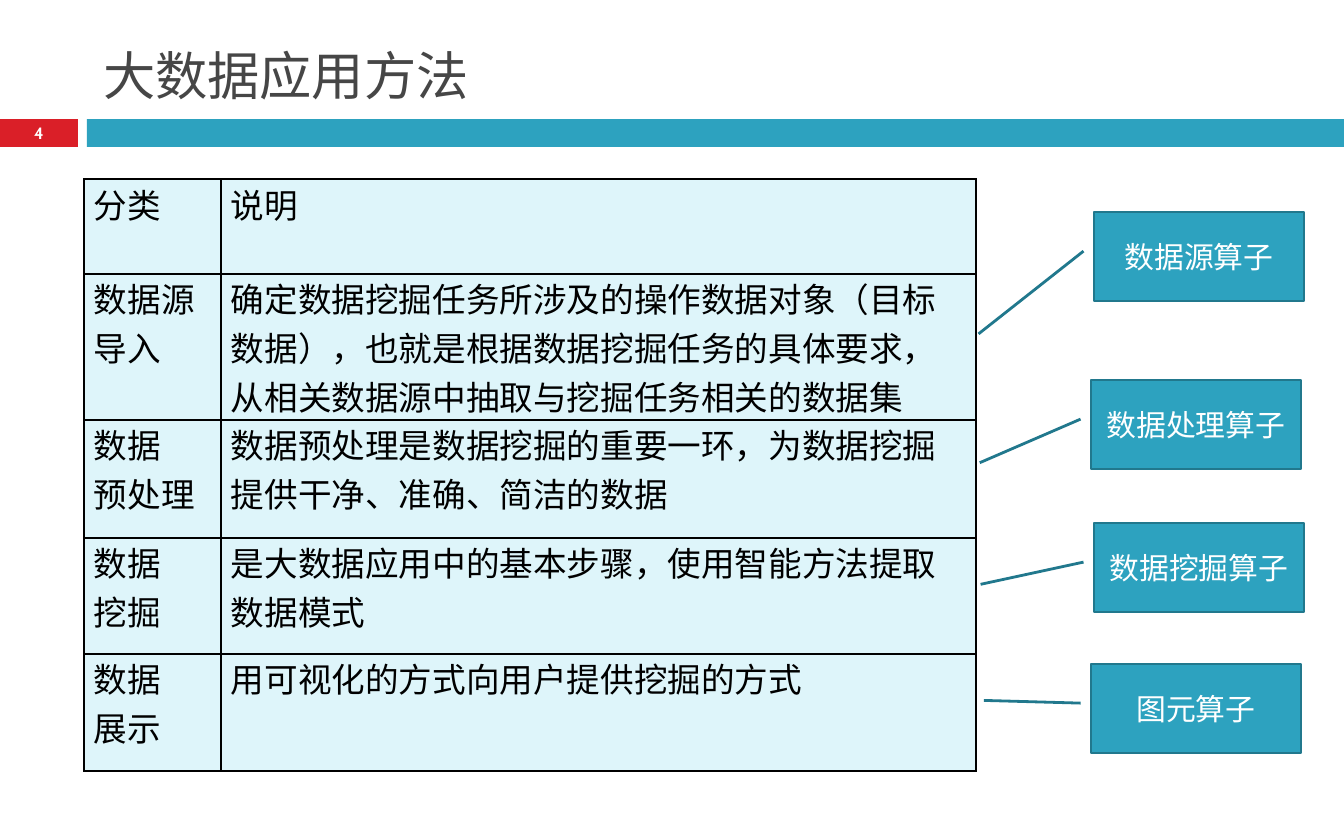
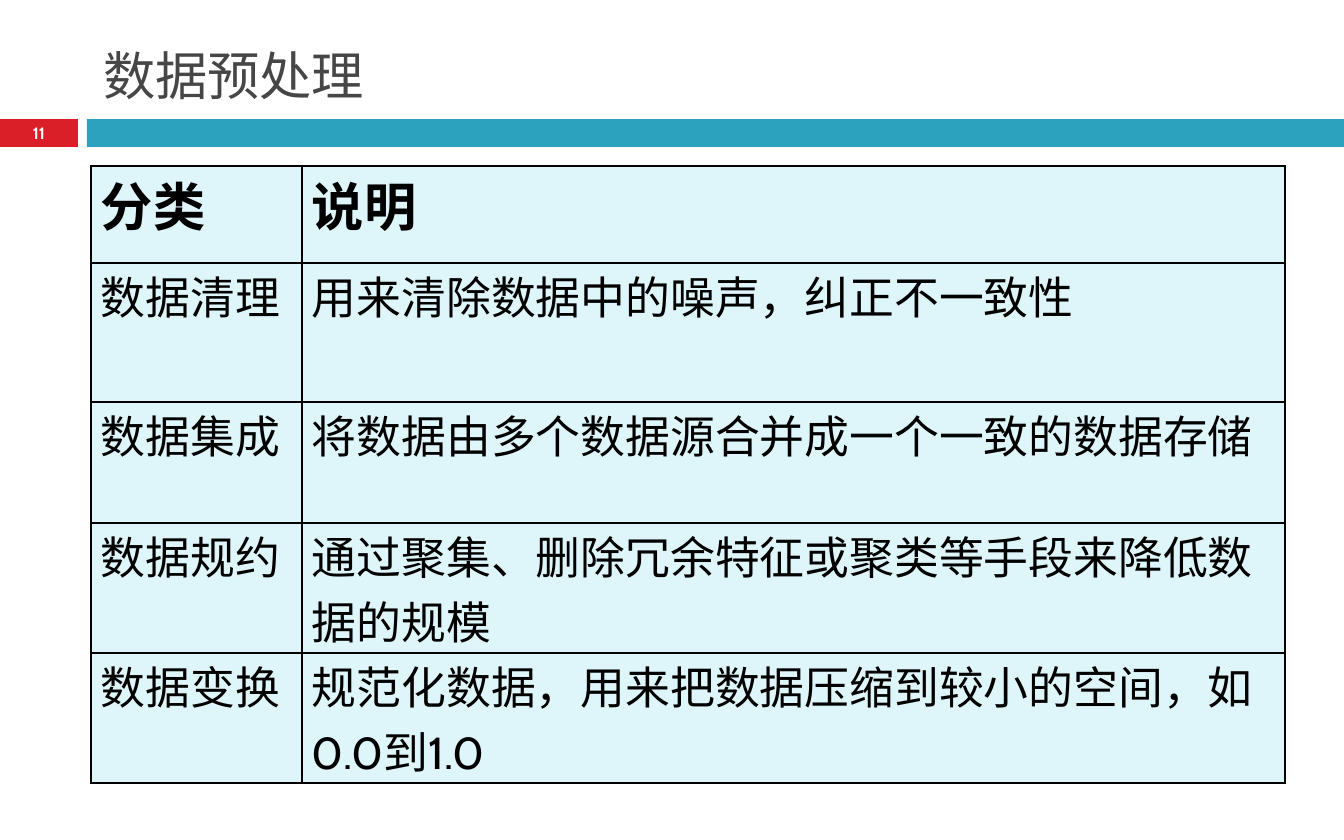
from dataclasses import dataclass

from lxml.etree import SubElement
from pptx import Presentation
from pptx.dml.color import RGBColor
from pptx.enum.shapes import MSO_SHAPE
from pptx.enum.text import MSO_ANCHOR, PP_ALIGN
from pptx.oxml.ns import qn
from pptx.util import Pt

PX = 914400 / 134.4


@dataclass(frozen=True)
class Theme:
    red: str = "DA1F28"
    teal: str = "2DA2BF"
    edge: str = "21788D"
    pale: str = "DEF5FA"
    gray: str = "464646"
    black: str = "000000"
    white: str = "FFFFFF"
    sans: str = "Noto Sans CJK SC"
    latin: str = "Cabin"
    serif: str = "Times New Roman"
    title: float = 28
    head: float = 28
    body: float = 24
    small: float = 18
    label: float = 16
    number: float = 8.8


theme = Theme()


def px(*sizes):
    return [round(size * PX) for size in sizes]


def write(frame, text, size, color, face, bold=False, align=PP_ALIGN.LEFT):
    frame.text = text
    frame.word_wrap = True
    for para in frame.paragraphs:
        para.alignment = align
        for run in para.runs:
            font = run.font
            font.size = Pt(size)
            font.bold = bold
            font.name = face
            font.color.rgb = RGBColor.from_string(color)
            SubElement(font._element, qn("a:ea"), typeface=theme.sans)


pages = [
    dict(
        title="大数据应用方法", number="4", spot=(84, 179),
        cols=[137, 755], rows=[95, 146, 118, 116, 117],
        face=theme.serif, head=theme.small, body=theme.small, bold=False,
        cells=[
            ("分类", "说明"),
            ("数据源导入", "确定数据挖掘任务所涉及的操作数据对象（目标数据），也就是根据数据挖掘任务的具体要求，从相关数据源中抽取与挖掘任务相关的数据集"),
            ("数据\n预处理", "数据预处理是数据挖掘的重要一环，为数据挖掘提供干净、准确、简洁的数据"),
            ("数据\n挖掘", "是大数据应用中的基本步骤，使用智能方法提取数据模式"),
            ("数据\n展示", "用可视化的方式向用户提供挖掘的方式"),
        ],
        calls=[
            ("数据源算子", 1094, 212, 1.37, -0.55),
            ("数据处理算子", 1091, 380, 0.93, -0.53),
            ("数据挖掘算子", 1094, 523, 0.69, -0.54),
            ("图元算子", 1091, 664, 0.41, -0.51),
        ],
    ),
    dict(
        title="数据预处理", number="11", spot=(91, 166),
        cols=[211, 983], rows=[97, 139, 121, 130, 130],
        face=theme.latin, head=theme.head, body=theme.body, bold=True,
        cells=[
            ("分类", "说明"),
            ("数据清理", "用来清除数据中的噪声，纠正不一致性"),
            ("数据集成", "将数据由多个数据源合并成一个一致的数据存储"),
            ("数据规约", "通过聚集、删除冗余特征或聚类等手段来降低数据的规模"),
            ("数据变换", "规范化数据，用来把数据压缩到较小的空间，如0.0到1.0"),
        ],
        calls=[],
    ),
]

deck = Presentation()
deck.slide_width, deck.slide_height = px(1344, 840)

for page in pages:
    slide = deck.slides.add_slide(deck.slide_layouts[6])
    shapes = slide.shapes

    for left, width, color in [(0, 78, theme.red), (87, 1257, theme.teal)]:
        band = shapes.add_shape(MSO_SHAPE.RECTANGLE, *px(left, 119, width, 28))
        band.shadow.inherit = False
        band.fill.solid()
        band.fill.fore_color.rgb = RGBColor.from_string(color)
        band.line.fill.background()

    number = shapes.add_textbox(*px(0, 118, 78, 29)).text_frame
    number.vertical_anchor = MSO_ANCHOR.MIDDLE
    number.margin_top = number.margin_bottom = 0
    write(number, page["number"], theme.number, theme.white, theme.latin, True, PP_ALIGN.CENTER)

    title = shapes.add_textbox(*px(90, 19, 1199, 94)).text_frame
    title.vertical_anchor = MSO_ANCHOR.BOTTOM
    write(title, page["title"], theme.title, theme.gray, theme.sans)

    cols, rows = page["cols"], page["rows"]
    place = px(*page["spot"], sum(cols), sum(rows))
    table = shapes.add_table(len(rows), len(cols), *place).table
    table.first_row = table.horz_banding = False
    for col, width in zip(table.columns, px(*cols)):
        col.width = width
    for row, height in zip(table.rows, px(*rows)):
        row.height = height
    for i, texts in enumerate(page["cells"]):
        size = page["body"] if i else page["head"]
        bold = page["bold"] and i == 0
        for j, text in enumerate(texts):
            cell = table.cell(i, j)
            cell.margin_left, cell.margin_right = px(10, 10)
            cell.margin_top = cell.margin_bottom = 0
            write(cell.text_frame, text, size, theme.black, page["face"], bold)
            props = cell._tc.get_or_add_tcPr()
            for side in "LRTB":
                line = SubElement(props, qn("a:ln" + side), w=str(Pt(1)))
                fill = SubElement(line, qn("a:solidFill"))
                SubElement(fill, qn("a:srgbClr"), val=theme.black)
            cell.fill.solid()
            cell.fill.fore_color.rgb = RGBColor.from_string(theme.pale)

    for text, left, top, drop, reach in page["calls"]:
        call = shapes.add_shape(MSO_SHAPE.LINE_CALLOUT_1, *px(left, top, 210, 89))
        call.shadow.inherit = False
        for k, value in enumerate([0.44, -0.05, drop, reach]):
            call.adjustments[k] = value
        call.fill.solid()
        call.fill.fore_color.rgb = RGBColor.from_string(theme.teal)
        call.line.color.rgb = RGBColor.from_string(theme.edge)
        call.line.width = Pt(1.5)
        call.text_frame.vertical_anchor = MSO_ANCHOR.MIDDLE
        write(call.text_frame, text, theme.label, theme.white, theme.sans, align=PP_ALIGN.CENTER)

deck.save("out.pptx")
